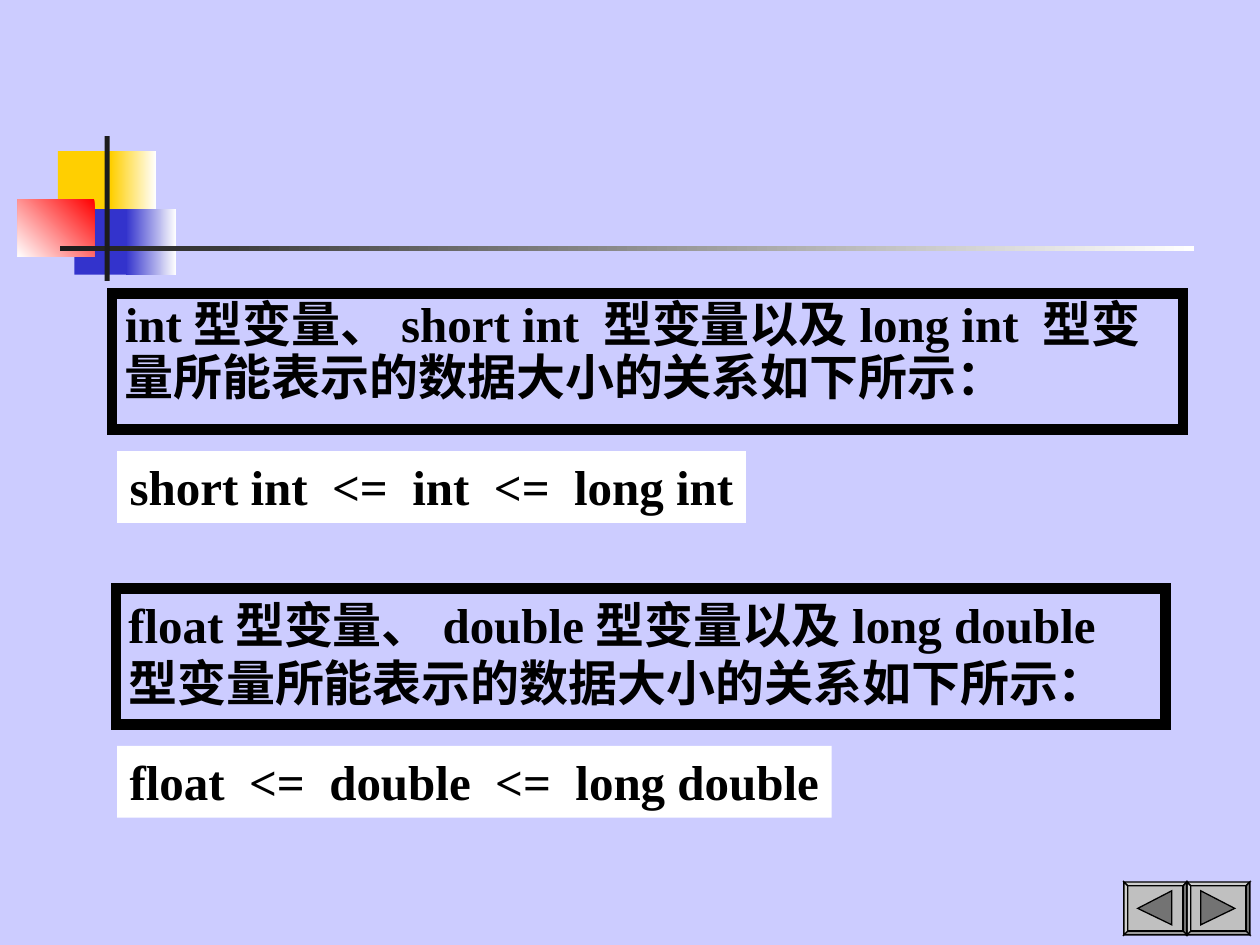
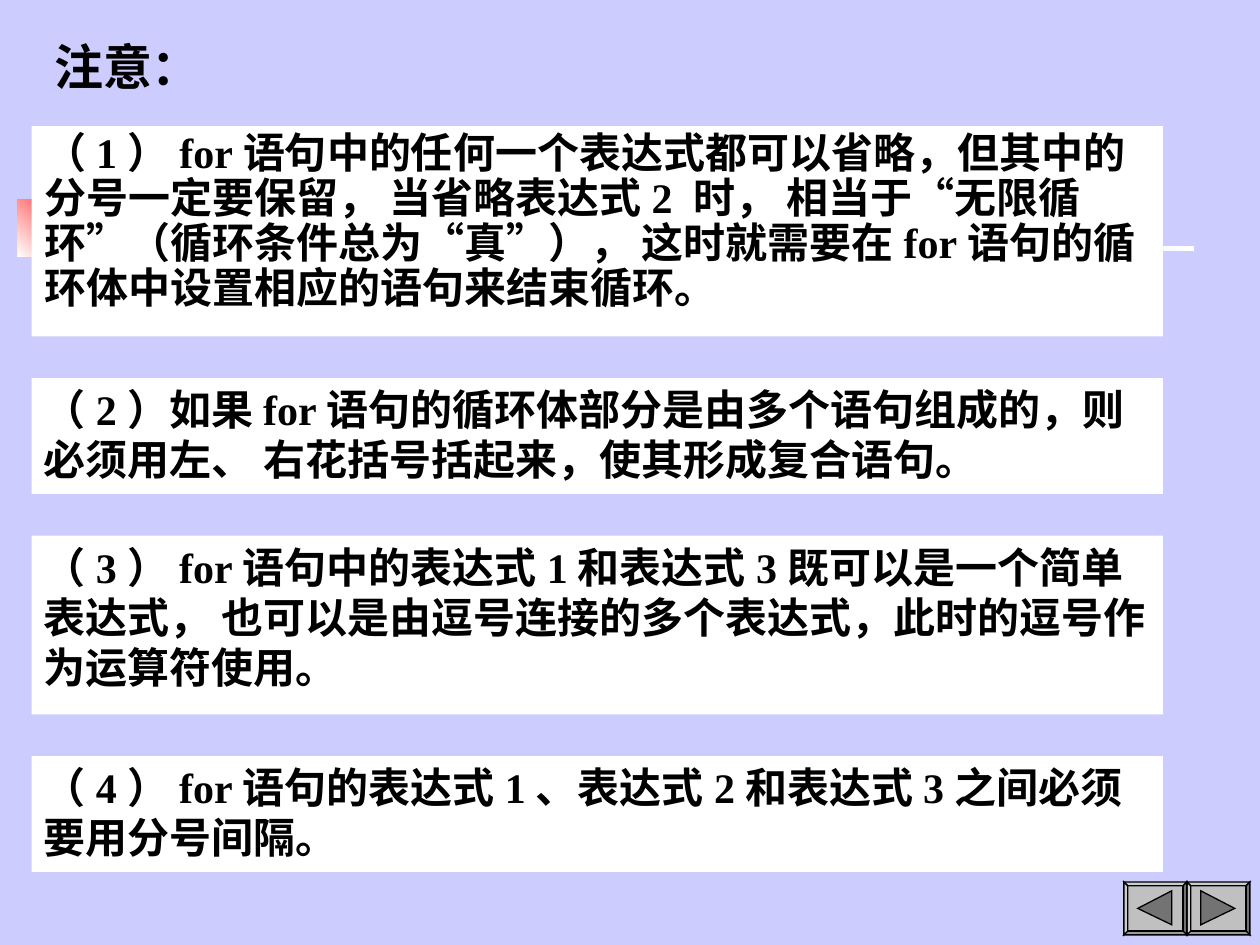
from itertools import groupby

from lxml import etree
from pptx import Presentation
from pptx import util as u
from pptx.dml.color import RGBColor
from pptx.enum import shapes, text
from pptx.oxml import ns

HUES = {
    "page": "CCCCFF", "white": "FFFFFF", "black": "000000", "gold": "FFCF01",
    "blue": "3333CC", "red": "FF0000", "ink": "1C1C1C",
    "face": "C0C0C0", "light": "CDCDCD", "shade": "9A9A9A", "dark": "737373",
}
LATIN, HAN = "Times New Roman", "Noto Sans CJK SC"
PITCH = 1.19


def hue(name):
    return RGBColor.from_string(HUES[name])


def write(shape, words, size=28, tight=1, wrap=True, anchor=text.MSO_ANCHOR.TOP):
    frame = shape.text_frame
    frame.auto_size = text.MSO_AUTO_SIZE.NONE
    frame.word_wrap = wrap
    frame.vertical_anchor = anchor
    frame.margin_left = frame.margin_right = u.Inches(0.1)
    frame.margin_top = frame.margin_bottom = u.Inches(0.05)
    para = frame.paragraphs[0]
    props = para._p.get_or_add_pPr()
    props.set("marL", "0")
    props.set("indent", "0")
    etree.SubElement(props, ns.qn("a:buNone"))
    para.alignment = text.PP_ALIGN.LEFT
    para.space_before = u.Pt(0)
    para.line_spacing = u.Pt(round(size * PITCH * tight, 1))
    for plain, chars in groupby(words, str.isascii):
        run = para.add_run()
        run.text = "".join(chars)
        font = run.font
        font.size, font.bold = u.Pt(size), True
        font.color.rgb = hue("black")
        font.name = LATIN if plain else HAN
        east = etree.SubElement(run._r.get_or_add_rPr(), ns.qn("a:ea"))
        east.set("typeface", HAN)


class Deck:
    def __init__(self):
        self.prs = Presentation()
        self.prs.slide_width, self.prs.slide_height = u.Inches(10), u.Inches(7.5)
        back = self.prs.slide_master.background.fill
        back.solid()
        back.fore_color.rgb = hue("page")
        self.slide = None

    def page(self):
        self.slide = self.prs.slides.add_slide(self.prs.slide_layouts[1])

    def paint(self, shape, fill=None, line=None, width=0.75):
        if fill:
            shape.fill.solid()
            shape.fill.fore_color.rgb = hue(fill)
        else:
            shape.fill.background()
        if line:
            shape.line.color.rgb = hue(line)
            shape.line.width = u.Pt(width)
            edge = shape.line._get_or_add_ln()
            etree.SubElement(edge, ns.qn("a:miter")).set("lim", "800000")
        else:
            shape.line.fill.background()
        shape.shadow.inherit = False

    def rect(self, at, fill=None, line=None, width=0.75):
        shape = self.slide.shapes.add_shape(
            shapes.MSO_SHAPE.RECTANGLE, *map(u.Inches, at))
        self.paint(shape, fill, line, width)
        return shape

    def fade(self, at, first, last, angle=180):
        shape = self.rect(at)
        shape.fill.gradient()
        shape.fill.gradient_angle = angle
        for stop, name in zip(shape.fill.gradient_stops, (first, last)):
            stop.color.rgb = hue(name)
        return shape

    def blocks(self):
        self.rect((0.46, 1.2, 0.48, 0.52), "gold")
        self.fade((0.88, 1.2, 0.36, 0.52), "white", "gold")
        self.rect((0.59, 1.66, 0.46, 0.52), "blue")
        self.fade((1, 1.66, 0.4, 0.52), "white", "blue")

    def rule(self):
        parts = [self.fade((0.14, 1.58, 0.61, 0.46), "red", "white", 225),
                 self.fade((0.48, 1.95, 9, 0.04), "white", "ink")]
        return parts

    def holder(self, shape, at, **look):
        shape.left, shape.top, shape.width, shape.height = map(u.Inches, at)
        self.paint(shape, **look)
        return shape

    def title(self, words, at):
        shape = self.holder(self.slide.shapes.title, at)
        write(shape, words, anchor=text.MSO_ANCHOR.BOTTOM)

    def bare(self):
        node = self.slide.shapes.title.element
        node.getparent().remove(node)

    def body(self, words, at, size=28, **look):
        shape = self.holder(self.slide.placeholders[1], at, **look)
        write(shape, words, size, tight=0.9)
        self.slide.shapes.element.append(shape.element)

    def note(self, words, at, size=28, wrap=True, **look):
        write(self.rect(at, **look), words, size, wrap=wrap)

    def poly(self, points, fill):
        spots = [(u.Inches(x), u.Inches(y)) for x, y in points]
        pen = self.slide.shapes.build_freeform(*spots[0])
        pen.add_line_segments(spots[1:], close=True)
        self.paint(pen.convert_to_shape(), fill, "black")

    def button(self, left, ahead):
        top, wide, high, rim = 7, 0.5, 0.42, 0.03
        right, base = left + wide, top + high
        outer = [(left, top), (right, top), (right, base), (left, base)]
        inner = [(left + rim, top + rim), (right - rim, top + rim),
                 (right - rim, base - rim), (left + rim, base - rim)]
        self.poly(inner, "face")
        for i, fill in enumerate(("light", "dark", "shade", "light")):
            j = (i + 1) % 4
            self.poly([outer[i], outer[j], inner[j], inner[i]], fill)
        tip, tail = (0.38, 0.11) if ahead else (0.11, 0.38)
        self.poly([(left + tip, top + 0.21), (left + tail, top + 0.07),
                   (left + tail, top + 0.34)], "dark")

    def nav(self):
        self.button(9.42, True)
        self.button(8.92, False)


def sizes(deck):
    deck.page()
    deck.bare()
    deck.blocks()
    deck.rule()
    deck.rect((0.83, 1.08, 0.04, 1.15), "ink")
    frame = {"line": "black", "width": 6}
    deck.body("int型变量、short int 型变量以及long int 型变量所能表示的数据大小的关系如下所示：",
              (0.89, 2.33, 8.5, 1.08), **frame)
    deck.note("short int  <=  int  <=  long int", (0.93, 3.58, 4.99, 0.57),
              wrap=False, fill="white")
    deck.note("float型变量、double型变量以及long double 型变量所能表示的数据大小的关系如下所示：",
              (0.92, 4.67, 8.33, 1.08), **frame)
    deck.note("float  <=  double  <=  long double", (0.93, 5.92, 5.67, 0.57),
              wrap=False, fill="white")
    deck.nav()


def hints(deck):
    deck.page()
    deck.rule()
    deck.title("注意：", (0.33, 0.17, 1.42, 0.64))
    deck.body("（1）for语句中的任何一个表达式都可以省略，但其中的分号一定要保留， "
              "当省略表达式2 时， 相当于“无限循环”（循环条件总为“真”）， "
              "这时就需要在for语句的循环体中设置相应的语句来结束循环。",
              (0.25, 1, 8.98, 1.67), 24, fill="white")
    notes = [
        (3, 0.92, "（2）如果for语句的循环体部分是由多个语句组成的，则必须用左、 "
                  "右花括号括起来，使其形成复合语句。"),
        (4.25, 1.42, "（3）for语句中的表达式1和表达式3既可以是一个简单表达式， "
                     "也可以是由逗号连接的多个表达式，此时的逗号作为运算符使用。"),
        (6, 0.92, "（4）for语句的表达式1、表达式2和表达式3之间必须要用分号间隔。"),
    ]
    for top, high, words in notes:
        deck.note(words, (0.25, top, 8.98, high), 24, fill="white")
    deck.nav()


def main():
    deck = Deck()
    sizes(deck)
    hints(deck)
    deck.prs.save("out.pptx")


if __name__ == "__main__":
    main()
